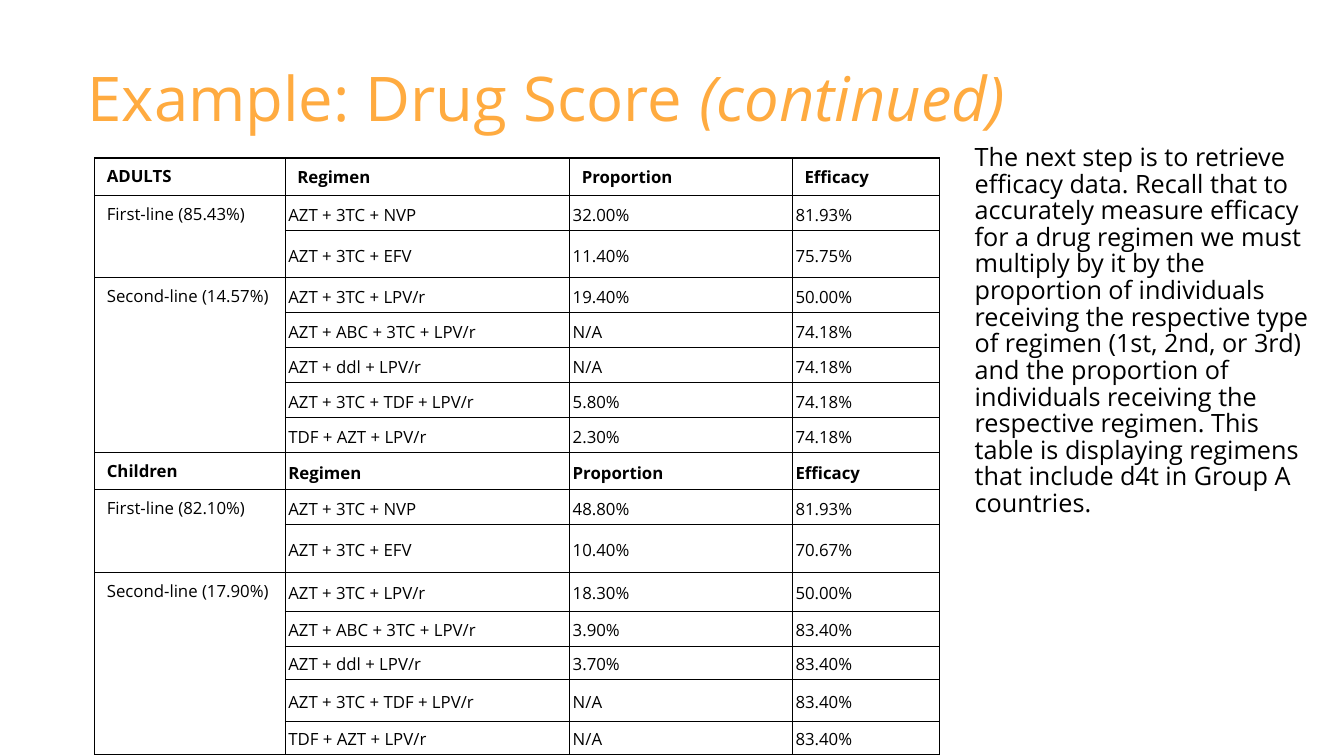
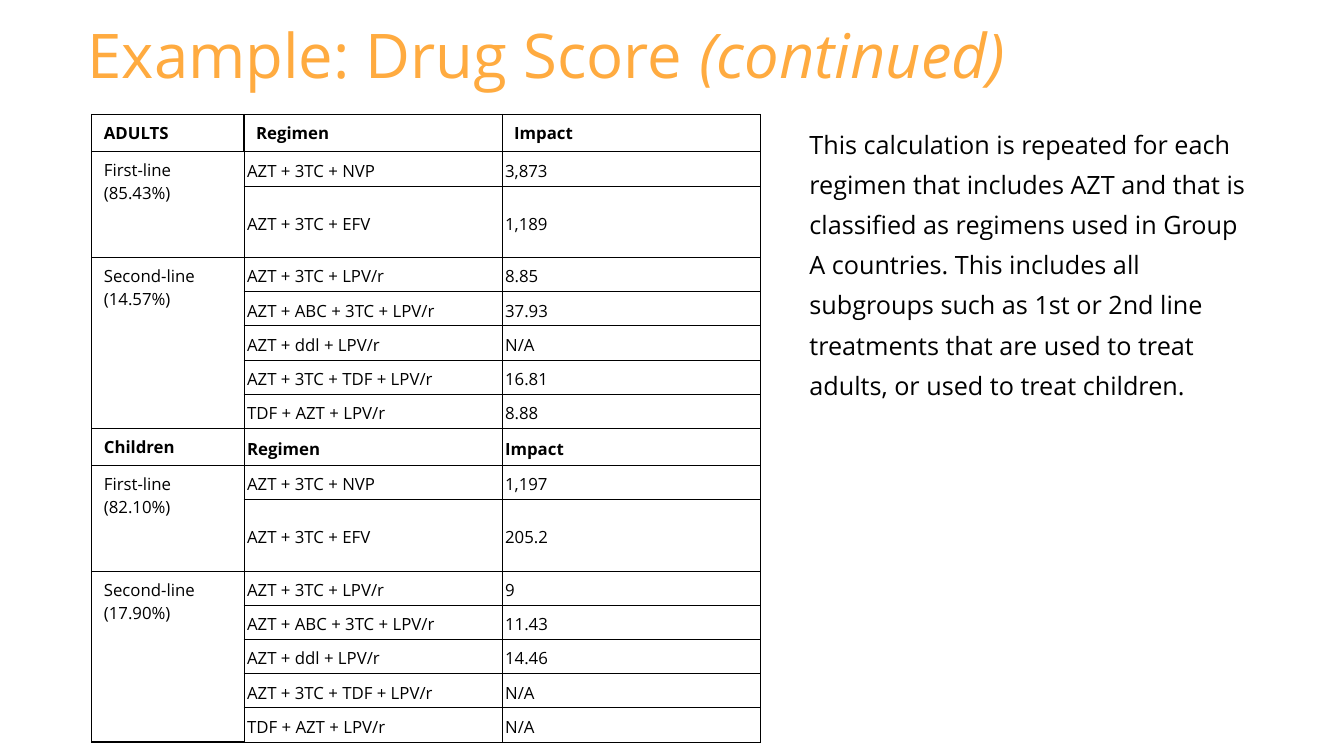
from dataclasses import dataclass
from typing import Any

from lxml import etree
from pptx import Presentation
from pptx.dml.color import RGBColor
from pptx.enum.text import MSO_ANCHOR, MSO_AUTO_SIZE, PP_ALIGN
from pptx.oxml.ns import qn
from pptx.util import Inches, Pt

TOP = MSO_ANCHOR.TOP
MIDDLE = MSO_ANCHOR.MIDDLE
LEFT = PP_ALIGN.LEFT
NO_AUTOFIT = MSO_AUTO_SIZE.NONE

SLIDE_WIDTH, SLIDE_HEIGHT = Inches(13.33), Inches(7.5)
TITLE_ONLY_LAYOUT = 5
FONT = "Open Sans"
ORANGE, BLACK = "FFAB40", "000000"
THIN, THICK = Pt(0.75), Pt(1)


def margins(horizontal: float, vertical: float) -> dict[str, Any]:
    sides = {"left": horizontal, "right": horizontal, "top": vertical, "bottom": vertical}
    return {f"margin_{side}": Inches(size) for side, size in sides.items()}


TITLE_FRAME = {"word_wrap": True, "auto_size": NO_AUTOFIT, "vertical_anchor": TOP, **margins(0.13, 0.09)}
NOTE_FRAME = {"word_wrap": True, "auto_size": NO_AUTOFIT, "vertical_anchor": TOP, **margins(0.07, 0.04)}
GROUP_CELL = {"vertical_anchor": TOP, **margins(0.12, 0.07)}
HEADER_CELL = {"vertical_anchor": MIDDLE, **margins(0.12, 0.07)}
VALUE_CELL = {"vertical_anchor": MIDDLE, **margins(0.03, 0.02)}

REGIMENS = [
    "AZT + 3TC + NVP",
    "AZT + 3TC + EFV",
    "AZT + 3TC + LPV/r",
    "AZT + ABC + 3TC + LPV/r",
    "AZT + ddl + LPV/r",
    "AZT + 3TC + TDF + LPV/r",
    "TDF + AZT + LPV/r",
]
FIRST_LINE_COUNT = 2


@dataclass(frozen=True)
class Box:
    """Position and size in percent of the slide."""

    left: float
    top: float
    width: float
    height: float


@dataclass(frozen=True)
class Population:
    name: str
    first_line: str
    second_line: str


@dataclass(frozen=True)
class Measure:
    name: str
    adults: list[str]
    children: list[str]


@dataclass(frozen=True)
class DrugScore:
    title_box: Box
    note_box: Box
    note: str
    line_spacing: float
    table_left: float
    table_top: float
    column_widths: list[float]
    row_heights: list[float]
    measures: list[Measure]


POPULATIONS = [
    Population("ADULTS", "First-line (85.43%)", "Second-line (14.57%)"),
    Population("Children", "First-line (82.10%)", "Second-line (17.90%)"),
]

DRUG_SCORES = [
    DrugScore(
        title_box=Box(5.55, 6.67, 85.45, 14.13),
        note_box=Box(72, 18.67, 26.93, 76),
        note="The next step is to retrieve efficacy data. Recall that to accurately measure "
        "efficacy for a drug regimen we must multiply by it by the proportion of individuals "
        "receiving the respective type of regimen (1st, 2nd, or 3rd) and the proportion of "
        "individuals receiving the respective regimen. This table is displaying regimens "
        "that include d4t in Group A countries.",
        line_spacing=0.88,
        table_left=7.05,
        table_top=20.9,
        column_widths=[14.18, 21.16, 16.58, 10.95],
        row_heights=[4.93, 4.63, 6.28, *[4.63] * 5, 4.76, 4.63, 6.28, 5.16, 4.63, 4.37, 5.56, 4.37],
        measures=[
            Measure(
                "Proportion",
                ["32.00%", "11.40%", "19.40%", "N/A", "N/A", "5.80%", "2.30%"],
                ["48.80%", "10.40%", "18.30%", "3.90%", "3.70%", "N/A", "N/A"],
            ),
            Measure(
                "Efficacy",
                ["81.93%", "75.75%", "50.00%", *["74.18%"] * 4],
                ["81.93%", "70.67%", "50.00%", *["83.40%"] * 4],
            ),
        ],
    ),
    DrugScore(
        title_box=Box(5.55, 1.07, 90.92, 12.53),
        note_box=Box(59.7, 15.2, 33.98, 79.07),
        note="This calculation is repeated for each regimen that includes AZT and that is "
        "classified as regimens used in Group A countries. This includes all subgroups such "
        "as 1st or 2nd line treatments that are used to treat adults, or used to treat children.",
        line_spacing=1.33,
        table_left=6.83,
        table_top=15.15,
        column_widths=[11.33, 19.2, 19.2],
        row_heights=[4.93, 4.52, 9.48, *[4.52] * 5, 4.76, 4.52, 9.48, *[4.52] * 5],
        measures=[
            Measure(
                "Impact",
                ["3,873", "1,189", "8.85", "37.93", "N/A", "16.81", "8.88"],
                ["1,197", "205.2", "9", "11.43", "14.46", "N/A", "N/A"],
            ),
        ],
    ),
]


def across(percent: float) -> int:
    return round(SLIDE_WIDTH * percent / 100)


def down(percent: float) -> int:
    return round(SLIDE_HEIGHT * percent / 100)


def color(hex_value: str) -> RGBColor:
    return RGBColor.from_string(hex_value)


def apply_format(target: Any, values: dict[str, Any]) -> None:
    for name, value in values.items():
        setattr(target, name, value)


def box_format(box: Box) -> dict[str, Any]:
    return {
        "left": across(box.left),
        "top": down(box.top),
        "width": across(box.width),
        "height": down(box.height),
    }


def add_text(paragraph: Any, text: str, size: float, hex_value: str, **style: bool) -> None:
    run = paragraph.add_run()
    run.text = text
    apply_format(run.font, {"name": FONT, "size": Pt(size), **style})
    run.font.color.rgb = color(hex_value)


def add_title(slide: Any, box: Box) -> None:
    title = slide.shapes.title
    apply_format(title, box_format(box))
    apply_format(title.text_frame, TITLE_FRAME)
    paragraph = title.text_frame.paragraphs[0]
    paragraph.alignment = LEFT
    add_text(paragraph, "Example: Drug Score ", 44, ORANGE)
    add_text(paragraph, "(continued)", 44, ORANGE, italic=True)


def add_note(slide: Any, score: DrugScore) -> None:
    note = slide.shapes.add_textbox(**box_format(score.note_box))
    apply_format(note.text_frame, NOTE_FRAME)
    paragraph = note.text_frame.paragraphs[0]
    apply_format(paragraph, {"space_before": Pt(8), "line_spacing": score.line_spacing})
    add_text(paragraph, score.note, 18, BLACK)


def draw_borders(cell: Any, widths: dict[str, int]) -> None:
    properties = cell._tc.get_or_add_tcPr()
    for side, width in widths.items():
        line = etree.SubElement(properties, qn(f"a:ln{side}"), w=str(width))
        fill = etree.SubElement(line, qn("a:solidFill"))
        etree.SubElement(fill, qn("a:srgbClr"), val=BLACK)


def table_rows(measures: list[Measure]) -> list[list[str]]:
    rows = []
    for population, values in zip(POPULATIONS, ("adults", "children")):
        rows.append([population.name, "Regimen", *[measure.name for measure in measures]])
        groups = {0: population.first_line, FIRST_LINE_COUNT: population.second_line}
        for index, regimen in enumerate(REGIMENS):
            results = [getattr(measure, values)[index] for measure in measures]
            rows.append([groups.get(index, ""), regimen, *results])
    return rows


def format_cell(cell: Any, text: str, row: int, column: int) -> None:
    is_group, is_header = column == 0, row == 0
    edge = THICK if is_group or is_header else THIN
    draw_borders(
        cell,
        {
            "L": edge,
            "R": THICK if is_header else THIN,
            "T": edge,
            "B": THICK if is_group else THIN,
        },
    )
    cell.fill.background()
    apply_format(cell, GROUP_CELL if is_group else HEADER_CELL if is_header else VALUE_CELL)
    if text:
        paragraph = cell.text_frame.paragraphs[0]
        paragraph.line_spacing = 1.0 if is_group or is_header else 1.15
        add_text(paragraph, text, 12, BLACK, bold=row % (len(REGIMENS) + 1) == 0)


def add_regimen_table(slide: Any, score: DrugScore) -> None:
    rows = table_rows(score.measures)
    box = Box(score.table_left, score.table_top, sum(score.column_widths), sum(score.row_heights))
    table = slide.shapes.add_table(len(rows), len(rows[0]), **box_format(box)).table
    apply_format(table, {"first_row": False, "horz_banding": False})
    for column, width in zip(table.columns, score.column_widths):
        column.width = across(width)
    for row, height in zip(table.rows, score.row_heights):
        row.height = down(height)
    for row_index, texts in enumerate(rows):
        for column_index, text in enumerate(texts):
            format_cell(table.cell(row_index, column_index), text, row_index, column_index)
    for header in range(0, len(rows), len(REGIMENS) + 1):
        first_line_end = header + FIRST_LINE_COUNT
        table.cell(header + 1, 0).merge(table.cell(first_line_end, 0))
        table.cell(first_line_end + 1, 0).merge(table.cell(header + len(REGIMENS), 0))


def main() -> None:
    presentation = Presentation()
    apply_format(presentation, {"slide_width": SLIDE_WIDTH, "slide_height": SLIDE_HEIGHT})
    for score in DRUG_SCORES:
        slide = presentation.slides.add_slide(presentation.slide_layouts[TITLE_ONLY_LAYOUT])
        add_title(slide, score.title_box)
        add_regimen_table(slide, score)
        add_note(slide, score)
    presentation.save("out.pptx")


if __name__ == "__main__":
    main()
